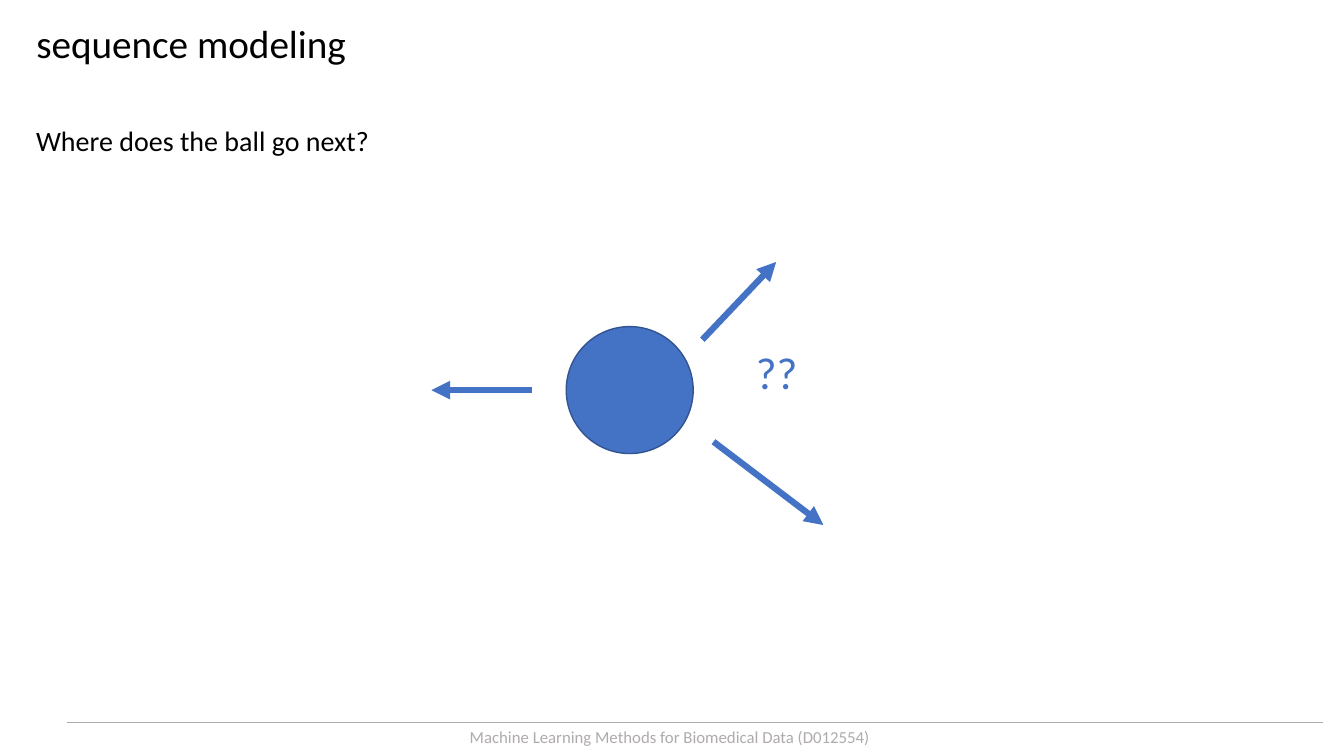
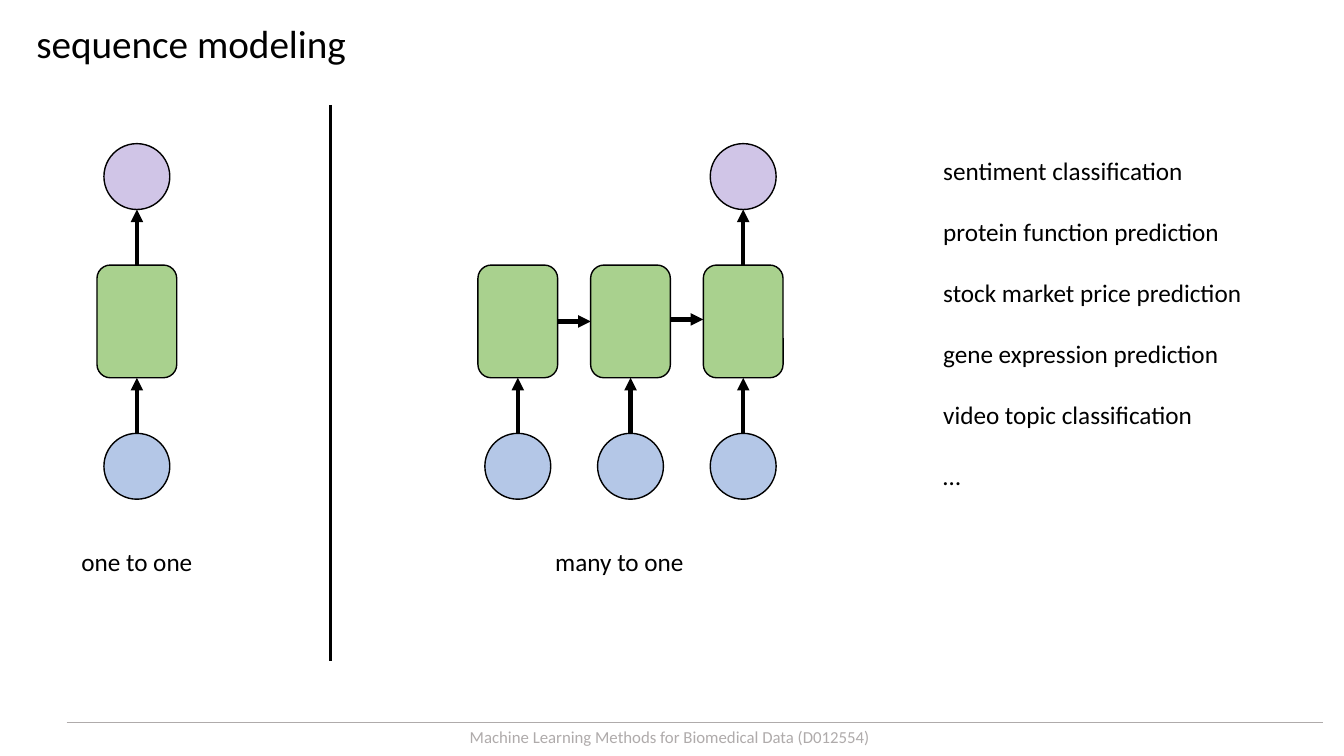
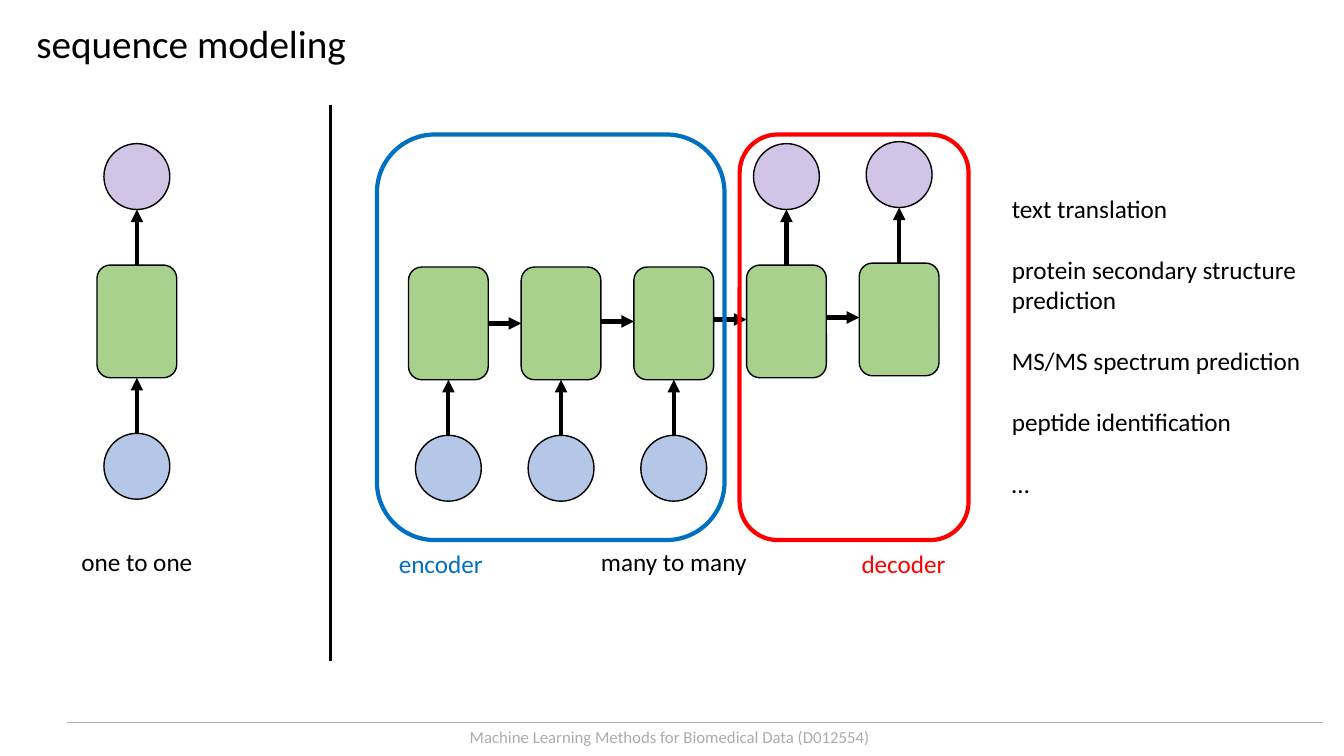
from pptx import Presentation
from pptx.dml.color import RGBColor
from pptx.enum.shapes import MSO_CONNECTOR as Connector, MSO_SHAPE as Shape
from pptx.enum.text import MSO_ANCHOR as Anchor, PP_ALIGN as Align
from pptx.oxml.ns import qn
from pptx.util import Cm, Pt
from lxml.etree import SubElement

# Shared style
FONT = "Calibri"
BLACK, GREY, BLUE = "000000", "AFABAB", "4472C4"
GREEN, PALE_BLUE, LILAC = "A9D18E", "B4C7E7", "D0C5E7"
ENCODER_BLUE, DECODER_RED = "0070C0", "FF0000"
TITLE = "sequence modeling"
FOOTER = "Machine Learning Methods for Biomedical Data (D012554)"

# Network geometry, in centimetres
CELL_WIDTH, CELL_HEIGHT, NODE = 2.01, 2.84, 1.66
GAP, PITCH, CELL_TOP = 1.4, 2.84, 6.68
LINK_DRIFT = 0.05
CAPTION_TOP, CAPTION_WIDTH = 13.64, 6


def color(value):
    return RGBColor.from_string(value)


class Deck:
    """Holds the presentation, its style and the current slide."""

    def __init__(self):
        self.presentation = Presentation()
        self.presentation.slide_width = Cm(33.87)
        self.presentation.slide_height = Cm(19.05)
        self.slide = None

    def new_slide(self):
        layout = self.presentation.slide_layouts[5]
        self.slide = self.presentation.slides.add_slide(layout)
        title = self.slide.shapes.title
        title.left, title.top, title.width, title.height = map(Cm, (0.66, 0.36, 32.64, 1.45))
        self.fill_text(title.text_frame, [TITLE], 28)
        self.text([FOOTER], 0.18, 18.19, 33.4, 0.76, 12, GREY, Align.CENTER)
        self.line(1.68, 18.19, 33.35, 18.19, GREY, 0.5)

    def fill_text(self, frame, lines, size, ink=BLACK, align=Align.LEFT, gap=0):
        frame.word_wrap = True
        frame.vertical_anchor = Anchor.TOP
        frame.text = "\n".join(lines)
        for paragraph in frame.paragraphs:
            paragraph.alignment = align
            paragraph.space_after = Pt(gap)
            for run in paragraph.runs:
                run.font.name = FONT
                run.font.size = Pt(size)
                run.font.color.rgb = color(ink)

    def text(self, lines, left, top, width, height, size=18, ink=BLACK,
             align=Align.LEFT, gap=0):
        box = self.slide.shapes.add_textbox(Cm(left), Cm(top), Cm(width), Cm(height))
        self.fill_text(box.text_frame, lines, size, ink, align, gap)

    def caption(self, words, center):
        self.text([words], center - CAPTION_WIDTH / 2, CAPTION_TOP, CAPTION_WIDTH, 1.02,
                  align=Align.CENTER)

    def shape(self, kind, left, top, width, height, fill=None, ink=BLACK, weight=1):
        shape = self.slide.shapes.add_shape(kind, Cm(left), Cm(top), Cm(width), Cm(height))
        shape.shadow.inherit = False
        if fill:
            shape.fill.solid()
            shape.fill.fore_color.rgb = color(fill)
        else:
            shape.fill.background()
        shape.line.color.rgb = color(ink)
        shape.line.width = Pt(weight)

    def line(self, x1, y1, x2, y2, ink=BLACK, weight=3.0, arrow=False):
        line = self.slide.shapes.add_connector(
            Connector.STRAIGHT, Cm(x1), Cm(y1), Cm(x2), Cm(y2))
        line.line.color.rgb = color(ink)
        line.line.width = Pt(weight)
        properties = line._element.spPr
        if arrow:
            SubElement(properties.find(qn("a:ln")), qn("a:tailEnd"), type="triangle")
        SubElement(properties, qn("a:effectLst"))

    def arrow(self, x1, y1, x2, y2, ink=BLACK, weight=3.0):
        self.line(x1, y1, x2, y2, ink, weight, arrow=True)

    def node(self, center, top, fill):
        self.shape(Shape.OVAL, center - NODE / 2, top, NODE, NODE, fill)

    def cell(self, center, top, has_input, has_output):
        """A green cell with an optional input below and output above."""
        bottom = top + CELL_HEIGHT
        self.shape(Shape.ROUNDED_RECTANGLE, center - CELL_WIDTH / 2, top,
                   CELL_WIDTH, CELL_HEIGHT, GREEN)
        if has_input:
            self.node(center, bottom + GAP, PALE_BLUE)
            self.arrow(center, bottom + GAP, center, bottom)
        if has_output:
            self.node(center, top - GAP - NODE, LILAC)
            self.arrow(center, top, center, top - GAP)

    def chain(self, first_center, tops, inputs, outputs):
        """Cells at an equal pitch, each linked to the next."""
        for index, top in enumerate(tops):
            center = first_center + index * PITCH
            self.cell(center, top, index in inputs, index in outputs)
            if index:
                y = tops[0] + CELL_HEIGHT / 2 - (index - 1) * LINK_DRIFT
                right = center - CELL_WIDTH / 2
                self.arrow(right - PITCH + CELL_WIDTH, y, right, y)

    def one_to_one(self):
        """The left part, with the divider."""
        self.chain(3.45, [CELL_TOP], {0}, {0})
        self.caption("one to one", 3.45)
        self.line(8.33, 2.64, 8.33, 16.66, weight=1.5)

    def examples(self, lines, left, top, width, height):
        self.text(lines, left, top, width, height, gap=22)


def ball_slide(deck):
    deck.new_slide()
    deck.text(["Where does the ball go next?"], 0.66, 3, 31.22, 2.82, 20)
    deck.shape(Shape.OVAL, 14.27, 8.23, 3.2, 3.2, BLUE, "325491")
    for ends in ((17.7, 8.56, 19.56, 6.6),
                 (17.98, 11.13, 20.75, 13.23),
                 (13.41, 9.83, 10.87, 9.83)):
        deck.arrow(*ends, BLUE, 4.5)
    deck.text(["??"], 18.8, 8.56, 1.85, 1.63, 32, BLUE)


def many_to_one_slide(deck):
    deck.new_slide()
    deck.one_to_one()
    deck.chain(13.05, [CELL_TOP] * 3, {0, 1, 2}, {2})
    deck.caption("many to one", 15.61)
    deck.examples(["sentiment classification", "protein function prediction",
                   "stock market price prediction", "gene expression prediction",
                   "video topic classification", "…"], 23.52, 3.78, 8.94, 8.71)


def many_to_many_slide(deck):
    deck.new_slide()
    deck.one_to_one()
    deck.chain(11.3, [6.73, 6.73, 6.73, 6.68, 6.63], {0, 1, 2}, {3, 4})
    deck.caption("many to many", 16.98)
    deck.examples(["text translation", "protein secondary structure prediction",
                   "MS/MS spectrum prediction", "peptide identification", "…"],
                  25.25, 4.75, 8.25, 7.95)
    # Encoder and decoder frames with their labels
    for name, ink, left, width, label_left, align in (
            ("encoder", ENCODER_BLUE, 9.5, 8.76, 9.8, Align.LEFT),
            ("decoder", DECODER_RED, 18.64, 5.77, 16.03, Align.RIGHT)):
        deck.shape(Shape.ROUNDED_RECTANGLE, left, 3.39, width, 10.22, ink=ink, weight=3)
        deck.text([name], label_left, 13.69, 8.05, 1.02, ink=ink, align=align)


def main():
    deck = Deck()
    ball_slide(deck)
    many_to_one_slide(deck)
    many_to_many_slide(deck)
    deck.presentation.save("out.pptx")


if __name__ == "__main__":
    main()
